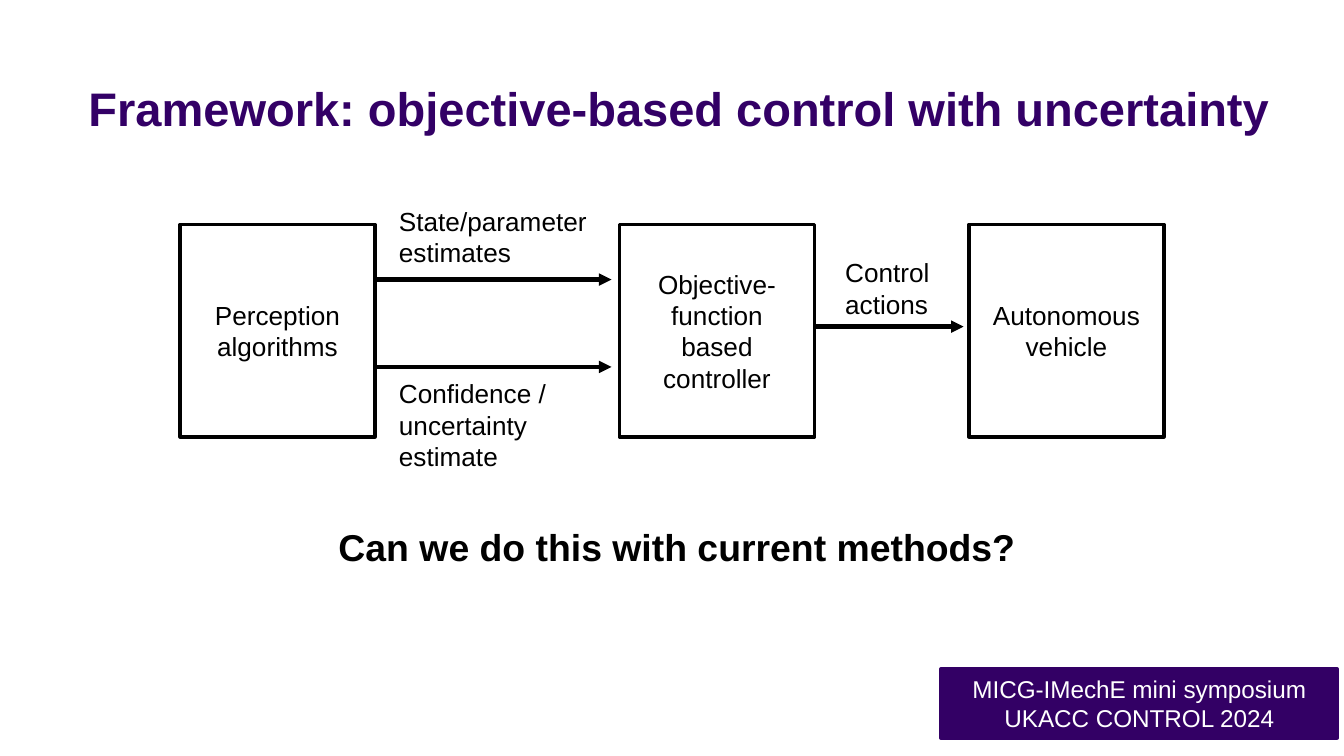
"""Build a slide showing an objective-based control framework as a block diagram."""
from lxml import etree
from pptx import Presentation
from pptx.dml.color import RGBColor
from pptx.enum.shapes import MSO_CONNECTOR, MSO_SHAPE
from pptx.enum.text import MSO_ANCHOR, PP_ALIGN
from pptx.oxml.ns import qn
from pptx.util import Inches, Pt

RECTANGLE = MSO_SHAPE.RECTANGLE
STRAIGHT = MSO_CONNECTOR.STRAIGHT
TOP, MIDDLE = MSO_ANCHOR.TOP, MSO_ANCHOR.MIDDLE
LEFT, CENTER = PP_ALIGN.LEFT, PP_ALIGN.CENTER

SLIDE_WIDTH = Inches(10)
SLIDE_HEIGHT = SLIDE_WIDTH * 9 // 16

TITLE = ("Framework: objective-based control with uncertainty", (0.56, 0.33, 9, 0.94))
QUESTION = ("Can we do this with current methods?", (2.42, 3.85, 5.28, 0.44))
FOOTER = ("MICG-IMechE mini symposium UKACC CONTROL 2024", (7, 4.98, 2.95, 0.51))

BLOCK_TOP, BLOCK_WIDTH, BLOCK_HEIGHT = 1.67, 1.45, 1.58
BLOCKS = [
    ("Perception algorithms", 1.34),
    ("Objective-function based controller", 4.61),
    ("Autonomous vehicle", 7.21),
]
ARROWS = [(0, 2.08, 4.55), (0, 2.73, 4.55), (1, 2.43, 7.17)]
LABELS = [
    ("Control actions", (6.19, 1.86, 0.88, 0.57)),
    ("State/parameter estimates", (2.87, 1.48, 1.65, 0.57)),
    ("Confidence / uncertainty estimate", (2.87, 2.76, 1.65, 0.81)),
]

THEME = {
    "font": "Arial",
    "title": RGBColor(0x33, 0x00, 0x66),
    "footer": RGBColor(0x33, 0x00, 0x65),
    "ink": RGBColor(0, 0, 0),
    "paper": RGBColor(255, 255, 255),
    "title_size": 25.2,
    "question_size": 20,
    "body_size": 14,
    "footer_size": 13,
    "outline": 2,
    "arrow": 2.25,
}


def write(shape, text, size, color, bold=False, align=LEFT, anchor=TOP, wrap=True):
    frame = shape.text_frame
    frame.text = text
    frame.word_wrap = wrap
    frame.vertical_anchor = anchor
    paragraph = frame.paragraphs[0]
    paragraph.alignment = align
    font = paragraph.runs[0].font
    font.name, font.size, font.bold = THEME["font"], Pt(size), bold
    font.color.rgb = color


def add_text(slide, text, box, size, color, **options):
    shape = slide.shapes.add_textbox(*map(Inches, box))
    write(shape, text, size, color, **options)


def add_block(slide, text, box, fill, line, size, color):
    shape = slide.shapes.add_shape(RECTANGLE, *map(Inches, box))
    shape.shadow.inherit = False
    shape.fill.solid()
    shape.fill.fore_color.rgb = fill
    shape.line.color.rgb = line
    shape.line.width = Pt(THEME["outline"])
    write(shape, text, size, color, align=CENTER, anchor=MIDDLE)


def add_arrow(slide, start, end, height):
    points = map(Inches, (start, height, end, height))
    arrow = slide.shapes.add_connector(STRAIGHT, *points)
    arrow.line.color.rgb = THEME["ink"]
    arrow.line.width = Pt(THEME["arrow"])
    properties = arrow._element.spPr
    etree.SubElement(properties.find(qn("a:ln")), qn("a:tailEnd"), type="triangle")
    etree.SubElement(properties, qn("a:effectLst"))


def main():
    presentation = Presentation()
    presentation.slide_width, presentation.slide_height = SLIDE_WIDTH, SLIDE_HEIGHT
    slide = presentation.slides.add_slide(presentation.slide_layouts[6])
    ink, paper, body = THEME["ink"], THEME["paper"], THEME["body_size"]

    add_block(slide, *FOOTER, THEME["footer"], THEME["footer"], THEME["footer_size"], paper)
    add_text(slide, *TITLE, THEME["title_size"], THEME["title"], bold=True, anchor=MIDDLE)
    add_text(slide, *QUESTION, THEME["question_size"], ink, bold=True, wrap=False)
    for text, left in BLOCKS:
        box = (left, BLOCK_TOP, BLOCK_WIDTH, BLOCK_HEIGHT)
        add_block(slide, text, box, paper, ink, body, ink)
    for source, height, end in ARROWS:
        add_arrow(slide, BLOCKS[source][1] + BLOCK_WIDTH, end, height)
    for text, box in LABELS:
        add_text(slide, text, box, body, ink)

    presentation.save("out.pptx")


if __name__ == "__main__":
    main()
